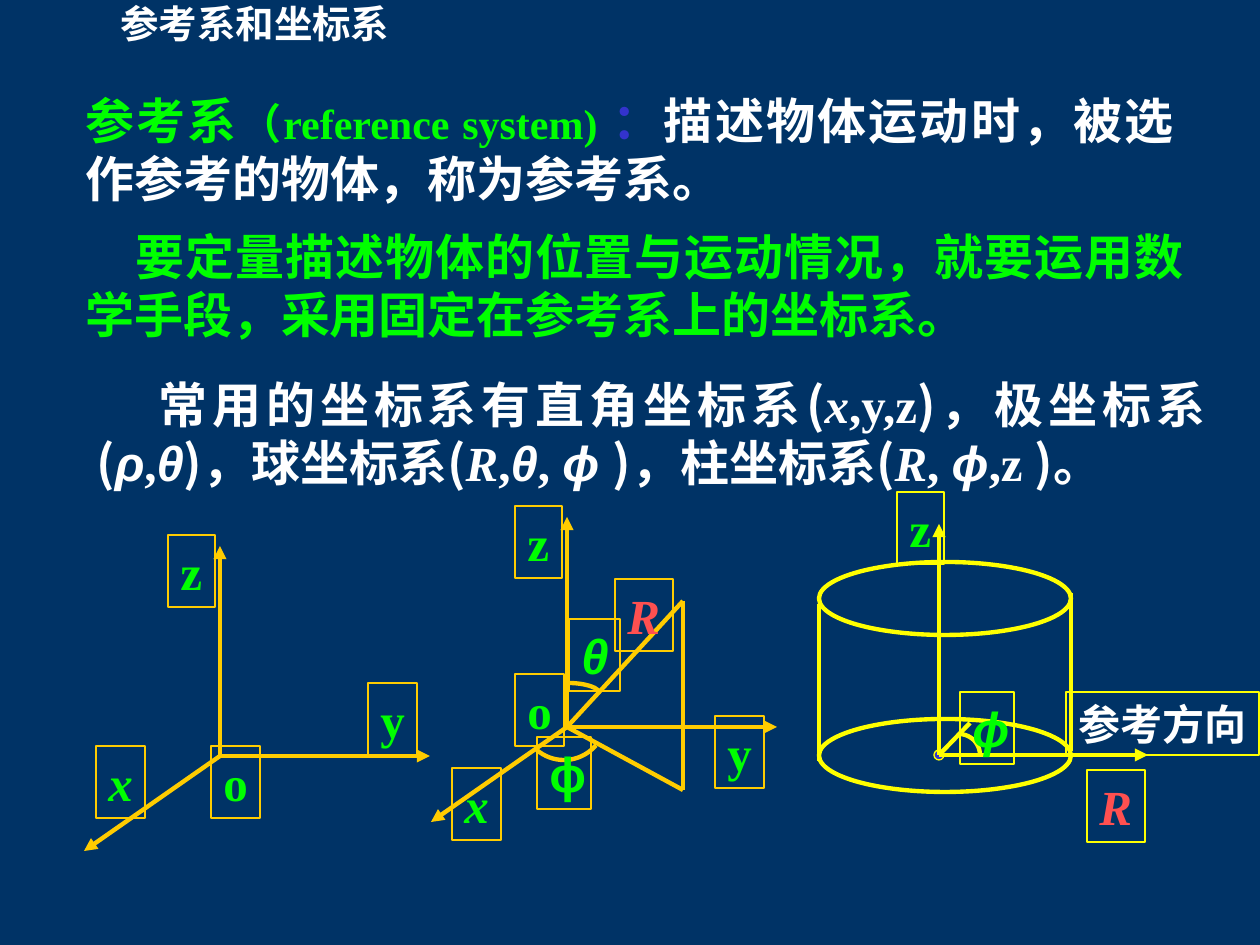
from dataclasses import dataclass
from math import cos, radians, sin

from lxml import etree
from pptx import Presentation
from pptx.dml.color import RGBColor
from pptx.enum.shapes import MSO_CONNECTOR, MSO_SHAPE
from pptx.enum.text import MSO_ANCHOR, PP_ALIGN
from pptx.oxml.ns import qn
from pptx.util import Emu, Pt

RECTANGLE, OVAL = MSO_SHAPE.RECTANGLE, MSO_SHAPE.OVAL
STRAIGHT = MSO_CONNECTOR.STRAIGHT
LEFT, JUSTIFY, TOP = PP_ALIGN.LEFT, PP_ALIGN.JUSTIFY, MSO_ANCHOR.TOP


@dataclass(frozen=True)
class Theme:
    background: str = "003366"
    white: str = "FFFFFF"
    green: str = "00FF00"
    red: str = "FF5050"
    blue: str = "3333CC"
    gold: str = "FFCC00"
    yellow: str = "FFFF00"
    shadow: str = "808080"
    cjk: str = "Noto Sans CJK SC"
    serif: str = "Times New Roman"
    sans: str = "Arial"
    title: int = 22
    small: int = 24
    body: int = 28
    thick: float = 2.5
    thin: float = 0.75
    leading: float = 1.2


THEME = Theme()
CJK, SERIF, SANS = THEME.cjk, THEME.serif, THEME.sans
GREEN, WHITE, RED = THEME.green, THEME.white, THEME.red

# Content: a run is text, font, colour, size, italic
TITLE = [("参考系和坐标系", CJK, WHITE, THEME.title, False)]


def body_run(text, font=CJK, color=WHITE, size=THEME.body, italic=False):
    return text, font, color, size, italic


PARAGRAPHS = [  # box, first-line indent, runs
    ((73, 84, 1113, 131), 0, [
        body_run("参考系", color=GREEN),
        body_run("（reference system) ", SERIF, GREEN, THEME.small),
        body_run("：", color=THEME.blue),
        body_run("描述物体运动时，被选作参考的物体，称为参考系。")]),
    ((73, 220, 1124, 131), 50, [
        body_run("要定量描述物体的位置与运动情况，就要运用数学手段，"
                 "采用固定在参考系上的坐标系。", color=GREEN)]),
    ((84, 368, 1134, 189), 62, [
        body_run("常用的坐标系有直角坐标系("),
        body_run("x", SERIF, italic=True), body_run(",y,z", SERIF),
        body_run(")，极坐标系("),
        body_run("ρ", SANS, italic=True), body_run(",", SERIF),
        body_run("θ", SANS, italic=True), body_run(")，球坐标系("),
        body_run("R", SERIF, italic=True), body_run(",", SERIF),
        body_run("θ", SANS, italic=True), body_run(", ", SERIF),
        body_run("ϕ ", SANS, italic=True), body_run(")，柱坐标系("),
        body_run("R", SERIF, italic=True), body_run(", ", SERIF),
        body_run("ϕ", SANS, italic=True), body_run(",z ", SERIF),
        body_run(")。")]),
]

# Each symbol: width, font, colour, italic
SYMBOLS = {
    "x": (49, SERIF, GREEN, True), "y": (49, SERIF, GREEN, False),
    "z": (47, SERIF, GREEN, False), "o": (49, SERIF, GREEN, False),
    "R": (58, SERIF, RED, True), "θ": (51, SANS, GREEN, True),
    "ϕ": (54, SANS, GREEN, True),
}
LABEL_HEIGHT = 72
AXES = [(0, -210), (210, 0), (-136, 95)]  # z, y, x from the origin
DIAGRAMS = [
    dict(color=THEME.gold, origin=(220, 756), arrows=AXES,
         labels=[("x", 96, 746), ("y", 368, 683), ("z", 168, 535), ("o", 211, 746)]),
    dict(color=THEME.yellow, origin=(939, 755), arrows=[(0, -231), (209, 0)],
         ovals=[(819, 562, 252, 73), (819, 719, 252, 73)], dot=10,
         lines=[((819, 604), (819, 761)), ((1071, 593), (1071, 751)),
                ((939, 755), (970, 723))],
         arcs=[((959, 755), (21, 21), -90)],
         labels=[("z", 897, 492), ("ϕ", 960, 692), ("R", 1087, 770)],
         note=("参考方向", (1066, 692, 193, 63))),
    dict(color=THEME.gold, origin=(567, 727), arrows=AXES,
         lines=[((567, 727), (683, 601)), ((683, 601), (683, 790)),
                ((567, 727), (683, 790))],
         arcs=[((564, 718), (42, 42), 40.5), ((567, 693), (32, 10), -90)],
         labels=[("z", 515, 506), ("o", 515, 674), ("R", 615, 579), ("x", 452, 768),
                 ("y", 715, 716), ("θ", 569, 619)],
         upright=("ϕ", 537, 737)),
]


def px(value):
    return Emu(round(value * 914400 / 126))


def rgb(color):
    return RGBColor.from_string(color)


def set_line(shape, color, width):
    shape.line.color.rgb = rgb(color)
    shape.line.width = Pt(width)


def add_outline(shapes, kind, box, color, width, fill=None):
    shape = shapes.add_shape(kind, *map(px, box))
    shape.shadow.inherit = False
    set_line(shape, color, width)
    if fill:
        shape.fill.solid()
        shape.fill.fore_color.rgb = rgb(fill)
    else:
        shape.fill.background()
    return shape


def add_text(shapes, runs, box, align=LEFT, indent=0, border=None, shadow=False):
    if border:
        shape = add_outline(shapes, RECTANGLE, box, border, THEME.thin)
    else:
        shape = shapes.add_textbox(*map(px, box))
    frame = shape.text_frame
    frame.word_wrap = not border
    frame.vertical_anchor = TOP
    paragraph = frame.paragraphs[0]
    paragraph.alignment = align
    if any(font == CJK for _, font, *_ in runs):
        paragraph.line_spacing = Pt(THEME.leading * max(run[3] for run in runs))
    if indent:
        paragraph._p.get_or_add_pPr().set("indent", str(px(indent)))
    for text, font, color, size, italic in runs:
        run = paragraph.add_run()
        run.text = text
        run.font.size, run.font.bold, run.font.italic = Pt(size), True, italic
        run.font.color.rgb = rgb(color)
        properties = run._r.get_or_add_rPr()
        if shadow:
            effects = etree.SubElement(properties, qn("a:effectLst"))
            outer = etree.SubElement(effects, qn("a:outerShdw"),
                                     dist="25400", dir="2700000")
            etree.SubElement(outer, qn("a:srgbClr"), val=THEME.shadow)
        run.font.name = font
        east_asian = SANS if font == SANS else CJK
        etree.SubElement(properties, qn("a:ea"), typeface=east_asian)


def add_line(shapes, start, end, color, arrow=False):
    line = shapes.add_connector(STRAIGHT, *map(px, (*start, *end)))
    set_line(line, color, THEME.thick)
    if arrow:
        etree.SubElement(line.line._get_or_add_ln(), qn("a:tailEnd"), type="triangle")
    etree.SubElement(line._element.spPr, qn("a:effectLst"))


def add_quarter_arc(shapes, center, radii, start, color, steps=18):
    angles = [radians(start + 90 * step / steps) for step in range(steps + 1)]
    points = [(px(center[0] + radii[0] * cos(angle)),
               px(center[1] + radii[1] * sin(angle))) for angle in angles]
    builder = shapes.build_freeform(*points[0])
    builder.add_line_segments(points[1:], close=False)
    arc = builder.convert_to_shape()
    arc.shadow.inherit = False
    arc.fill.background()
    set_line(arc, color, THEME.thick)


def add_label(shapes, symbol, left, top, border, upright=False):
    width, font, color, italic = SYMBOLS[symbol]
    run = body_run(symbol, font, color, italic=italic and not upright)
    add_text(shapes, [run], (left, top, width, LABEL_HEIGHT), border=border)


def add_diagram(slide, diagram):
    shapes = slide.shapes.add_group_shape().shapes
    color, (x, y) = diagram["color"], diagram["origin"]
    for box in diagram.get("ovals", []):
        add_outline(shapes, OVAL, box, color, THEME.thick)
    if "dot" in diagram:
        size = diagram["dot"]
        box = (x - size / 2, y - size / 2, size, size)
        add_outline(shapes, OVAL, box, color, THEME.thin, THEME.blue)
    for dx, dy in diagram["arrows"]:
        add_line(shapes, (x, y), (x + dx, y + dy), color, arrow=True)
    for start, end in diagram.get("lines", []):
        add_line(shapes, start, end, color)
    for arc in diagram.get("arcs", []):
        add_quarter_arc(shapes, *arc, color)
    for label in diagram["labels"]:
        add_label(shapes, *label, color)
    if "upright" in diagram:
        add_label(shapes, *diagram["upright"], color, upright=True)
    if "note" in diagram:
        text, box = diagram["note"]
        add_text(shapes, [body_run(text, size=THEME.small)], box, border=color)


def main():
    presentation = Presentation()
    presentation.slide_width, presentation.slide_height = px(1260), px(945)
    slide = presentation.slides.add_slide(presentation.slide_layouts[6])
    slide.background.fill.solid()
    slide.background.fill.fore_color.rgb = rgb(THEME.background)

    # Explanations, diagrams, then the heading
    for box, indent, runs in PARAGRAPHS:
        add_text(slide.shapes, runs, box, align=JUSTIFY, indent=indent)
    for diagram in DIAGRAMS:
        add_diagram(slide, diagram)
    add_text(slide.shapes, TITLE, (108, -6, 386, 59), shadow=True)
    presentation.save("out.pptx")


if __name__ == "__main__":
    main()
